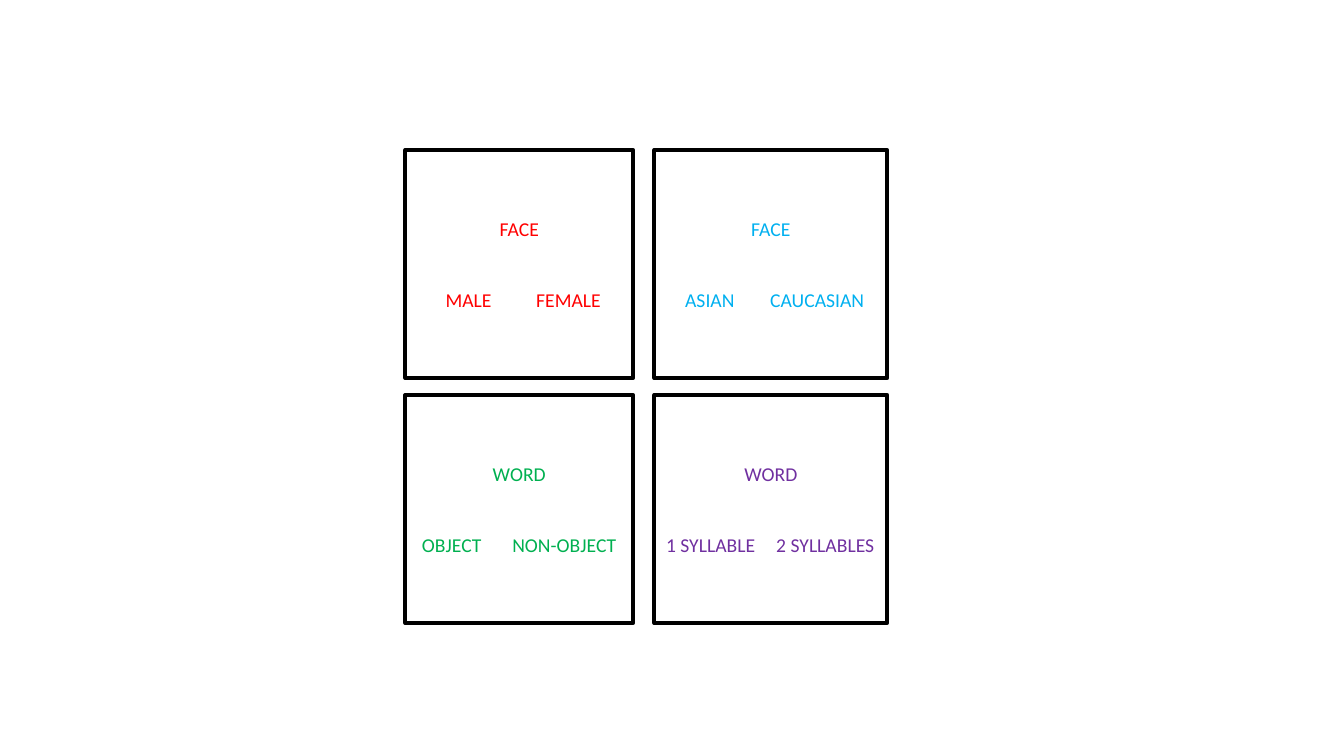
from dataclasses import dataclass

from lxml import etree
from pptx import Presentation
from pptx.dml.color import RGBColor
from pptx.enum.shapes import MSO_SHAPE
from pptx.enum.text import MSO_ANCHOR, PP_ALIGN
from pptx.oxml.ns import qn
from pptx.util import Inches, Pt

RECT = MSO_SHAPE.RECTANGLE
MIDDLE = MSO_ANCHOR.MIDDLE
CENTER, LEFT = PP_ALIGN.CENTER, PP_ALIGN.LEFT

COLORS = {
    "border": "000000",
    "red": "FF0000",
    "blue": "00B0F0",
    "green": "00B050",
    "purple": "7030A0",
}
FONT = "Calibri"

# Grid in percent of the slide: (start, extent) of each column and row
COLUMNS = ((30.16, 16.95), (48.69, 17.33))
ROWS = ((19.87, 30.13), (52.27, 30.13))


@dataclass
class Card:
    col: int
    row: int
    color: str
    heading: str
    choices: tuple[str, str]
    tabs: tuple[float, float]  # percent of the slide width


CARDS = (
    Card(0, 0, "red", "FACE", ("MALE", "FEMALE"), (2.25, 9)),
    Card(1, 0, "blue", "FACE", ("ASIAN", "CAUCASIAN"), (1.55, 7.88)),
    Card(0, 1, "green", "WORD", ("OBJECT", "NON-OBJECT"), (0.5, 7.22)),
    Card(1, 1, "purple", "WORD", ("1 SYLLABLE", "2 SYLLABLES"), (0.13, 8.33)),
)


def rgb(name: str) -> RGBColor:
    return RGBColor.from_string(COLORS[name])


def share(percent: float, total: int) -> int:
    return round(percent * total / 100)


def style(p, color: str, align) -> None:
    p.alignment = align
    p.font.name = FONT
    p.font.size = Pt(14)
    p.font.color.rgb = rgb(color)


def add_tabs(p, positions: list[int]) -> None:
    # Tab stops come before the default run properties
    stops = etree.Element(qn("a:tabLst"))
    for pos in positions:
        etree.SubElement(stops, qn("a:tab"), pos=str(pos), algn="l")
    p._p.get_or_add_pPr().find(qn("a:defRPr")).addprevious(stops)


def add_card(prs, slide, card: Card) -> None:
    width, height = prs.slide_width, prs.slide_height
    left, w = (share(v, width) for v in COLUMNS[card.col])
    top, h = (share(v, height) for v in ROWS[card.row])

    # Frame
    sp = slide.shapes.add_shape(RECT, left, top, w, h)
    sp.shadow.inherit = False
    sp.fill.background()
    sp.line.color.rgb = rgb("border")
    sp.line.width = Pt(3)

    # Heading
    tf = sp.text_frame
    tf.word_wrap = True
    tf.vertical_anchor = MIDDLE
    p = tf.paragraphs[0]
    p.add_run().text = card.heading
    style(p, card.color, CENTER)

    # Choices, set apart by tab stops
    p = tf.add_paragraph()
    p.add_run().text = "".join(f"\t{choice}" for choice in card.choices)
    style(p, card.color, LEFT)
    p.space_before = Pt(34)
    add_tabs(p, [share(t, width) for t in card.tabs])


def main() -> None:
    prs = Presentation()
    prs.slide_width, prs.slide_height = Inches(13.33), Inches(7.5)
    slide = prs.slides.add_slide(prs.slide_layouts[6])
    for card in CARDS:
        add_card(prs, slide, card)
    prs.save("out.pptx")


if __name__ == "__main__":
    main()
